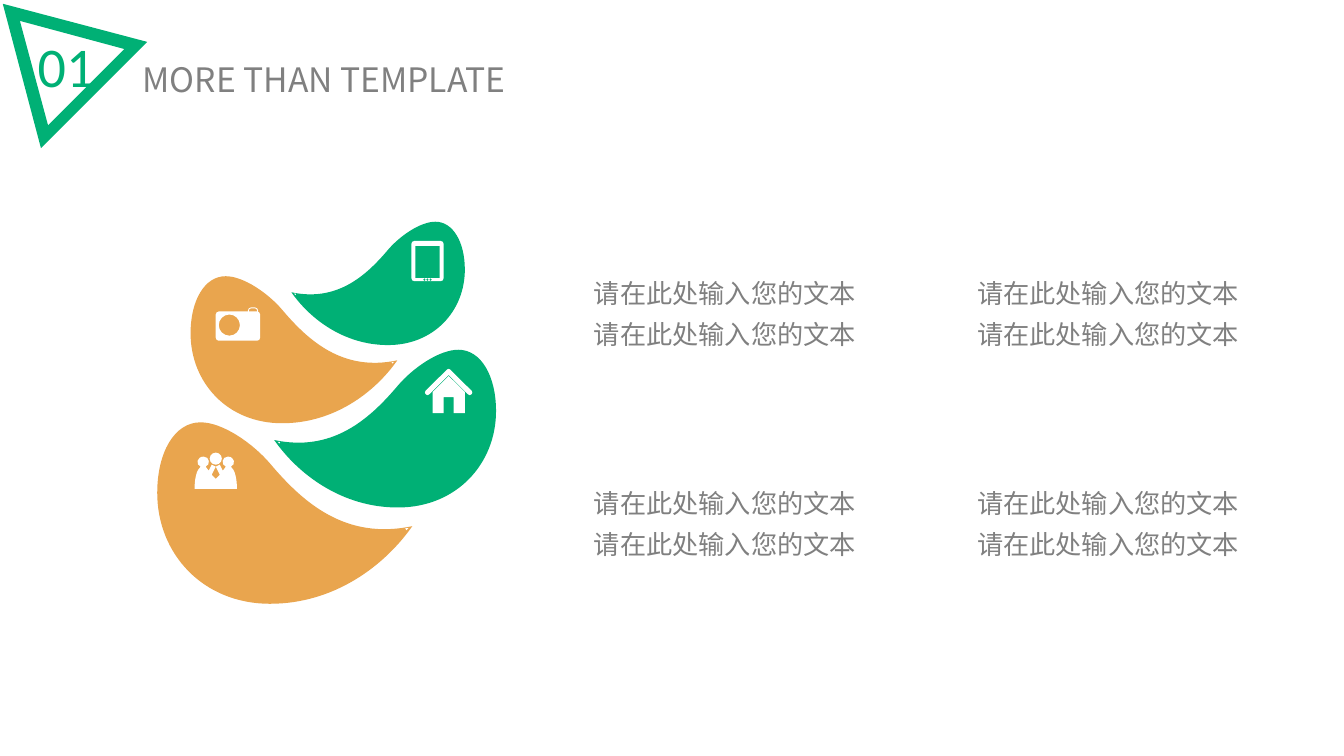
from lxml.etree import SubElement
from pptx import Presentation
from pptx.dml.color import RGBColor
from pptx.enum.shapes import MSO_SHAPE
from pptx.enum.text import MSO_ANCHOR, MSO_AUTO_SIZE as AutoSize, PP_ALIGN
from pptx.oxml.ns import qn
from pptx.util import Inches, Pt

COLORS = {"green": "00B075", "orange": "E9A54E", "gray": "808080", "white": "FFFFFF"}
CJK_FONT = "Noto Sans CJK SC"
PROMPT = "请在此处输入您的文本"
PETAL_WIDTH = 2.53
PETALS = [
    (1.56, 4.19, 2.53, False, "orange"),
    (2.72, 3.47, 2.2, True, "green"),
    (1.89, 2.74, 2.05, False, "orange"),
    (2.89, 2.2, 1.72, True, "green"),
]


def pairs(segment):
    return list(zip(segment[::2], segment[1::2]))


def transform(contour, left, top, x_scale=1, y_scale=1):
    return [
        tuple(value for x, y in pairs(segment) for value in (left + x * x_scale, top + y * y_scale))
        for segment in contour
    ]


def symmetric(half, axis, top):
    mirrored = transform(half, 0, 0, x_scale=-1)
    way_back = []
    for previous, segment in reversed(list(zip(mirrored, mirrored[1:]))):
        controls = pairs(segment)[:-1][::-1]
        way_back.append(sum(controls, ()) + previous[-2:])
    return transform(half + way_back, axis, top)


def rounded(left, top, width, height, radius=0):
    side, pull = width / 2, radius * 0.45
    half = [
        (0, 0), (side - radius, 0),
        (side - pull, 0, side, pull, side, radius),
        (side, height - radius),
        (side, height - pull, side - pull, height, side - radius, height),
        (0, height),
    ]
    return symmetric(half, left + side, top)


def triangle(axis, top, width, height):
    return symmetric([(0, 0), (width / 2, height), (0, height)], axis, top)


def petal_outline():
    tip, bottom, side, top, bend = (2.53, 1.03), (1.12, 1.8), (0, 0.7), (0.43, 0), (1.12, 0.41)
    return [
        tip,
        (2.25, 1.43, 1.75, 1.8, *bottom),
        (0.45, 1.8, 0, 1.3, *side),
        (0, 0.3, 0.17, 0, *top),
        (0.65, 0, 0.95, 0.21, *bend),
        (1.45, 0.8, 1.87, 1.17, *tip),
    ]


def paint(shape, color):
    shape.shadow.inherit = False
    shape.fill.solid()
    shape.fill.fore_color.rgb = RGBColor.from_string(COLORS[color])
    shape.line.fill.background()


def add_outline(page, color, *contours):
    def points_of(segment):
        return [(Inches(x), Inches(y)) for x, y in pairs(segment)]

    builder = page.shapes.build_freeform(*points_of(contours[0][0])[0])
    for index, (start, *segments) in enumerate(contours):
        if index:
            builder.move_to(*points_of(start)[0])
        builder.add_line_segments(sum(map(points_of, segments), []), close=True)
    shape = builder.convert_to_shape()
    steps = iter(list(shape.element.iter(qn("a:lnTo"))))
    for contour in contours:
        for segment in contour[1:]:
            step = next(steps)
            if len(segment) == 6:
                step.tag = qn("a:cubicBezTo")
                for extra in (next(steps), next(steps)):
                    step.append(extra[0])
                    extra.getparent().remove(extra)
    paint(shape, color)
    return shape


def add_petal(page, left, top, width, mirrored, color):
    scale = width / PETAL_WIDTH
    origin, x_scale = (left + width, -scale) if mirrored else (left, scale)
    speck = [(2.47, 1.07), (2.46, 1.05), (2.49, 1.05)]
    for contour, fill in ((petal_outline(), color), (speck, "white")):
        add_outline(page, fill, transform(contour, origin, top, x_scale, scale))


def add_people(page, axis, top):
    tie_bottom, tie_side, tie_top, collar = (0, 0.26), (0.04, 0.22), (0, 0.14), (0.04, 0.12)
    shoulder, inner_neck, crown, outer_neck = (0.07, 0.18), (0.1, 0.14), (0.12, 0.04), (0.15, 0.14)
    foot, base = (0.21, 0.36), (0, 0.36)
    half = [
        tie_bottom, tie_side, tie_top, collar, shoulder, inner_neck,
        (0.05, 0.12, 0.06, 0.04, *crown),
        (0.19, 0.04, 0.2, 0.12, *outer_neck),
        (0.19, 0.17, 0.21, 0.26, *foot),
        base,
    ]
    add_outline(page, "white", symmetric(half, axis, top))
    head_size = 0.12
    head = page.shapes.add_shape(
        MSO_SHAPE.OVAL, Inches(axis - head_size / 2), Inches(top), Inches(head_size), Inches(head_size))
    paint(head, "white")


def add_house(page, axis, top):
    eave, floor, door_side, door_top = 0.16, 0.37, 0.05, 0.21
    wall_half = [(0, 0), (eave, eave), (eave, floor), (door_side, floor), (door_side, door_top), (0, door_top)]
    roof_half = [(0, 0), (0.01, 0, 0.02, 0.01, 0.02, 0.01), (0.23, 0.22),
                 (0.25, 0.24, 0.21, 0.28, 0.19, 0.25), (0, 0.06)]
    add_outline(page, "white", symmetric(wall_half, axis, top + 0.07))
    add_outline(page, "white", symmetric(roof_half, axis, top))


def add_camera(page, left, top):
    button_rim = rounded(left + 0.32, top, 0.1, 0.1, 0.03)
    button_hole = rounded(left + 0.33, top + 0.01, 0.08, 0.09, 0.02)
    body = rounded(left, top + 0.04, 0.44, 0.29, 0.03)
    lens_size = 0.21
    lens = rounded(left + 0.03, top + 0.07, lens_size, lens_size, lens_size / 2)
    add_outline(page, "white", button_rim, button_hole)
    add_outline(page, "white", body, lens)


def add_tablet(page, left, top):
    body = rounded(left, top, 0.32, 0.4, 0.03)
    screen = rounded(left + 0.04, top + 0.05, 0.24, 0.32)
    buttons = [rounded(left + 0.12 + 0.03 * index, top + 0.37, 0.02, 0.03, 0.01) for index in range(3)]
    add_outline(page, "white", body, screen, *buttons)


def add_text(page, place, text, size, font, color, anchor=MSO_ANCHOR.MIDDLE, wrap=True, spacing=None):
    box = page.shapes.add_textbox(*map(Inches, place))
    frame = box.text_frame
    frame.word_wrap = wrap
    frame.auto_size = AutoSize.SHAPE_TO_FIT_TEXT
    frame.vertical_anchor = anchor
    frame.text = text
    for para in frame.paragraphs:
        para.alignment = PP_ALIGN.CENTER
        para.line_spacing = spacing
        for span in para.runs:
            span.font.size = Pt(size)
            span.font.color.rgb = RGBColor.from_string(COLORS[color])
            span.font.name = font
            SubElement(span._r.get_or_add_rPr(), qn("a:ea"), typeface=font)


def add_header(page):
    add_text(page, (0.27, 0.26, 0.77, 0.77), "01", 40, "Calibri", "green", wrap=False)
    badge = add_outline(page, "green", triangle(0.48, -0.15, 1.49, 1.28), triangle(0.48, 0.09, 1.07, 0.93))
    badge.rotation = 315
    add_text(page, (0.81, 0.53, 4.81, 0.51), "MORE THAN TEMPLATE", 24, CJK_FONT, "gray")


def add_prompts(page):
    for row in range(2):
        for column in range(2):
            place = (5.73 + 3.8 * column, 2.61 + 2.08 * row, 2.92, 0.92)
            add_text(page, place, f"{PROMPT}\n{PROMPT}", 18.7, CJK_FONT, "gray",
                     anchor=MSO_ANCHOR.TOP, spacing=1.3)


def main():
    deck = Presentation()
    deck.slide_width, deck.slide_height = Inches(13.33), Inches(7.5)
    page = deck.slides.add_slide(deck.slide_layouts[6])
    add_header(page)
    for petal in PETALS:
        add_petal(page, *petal)
    add_people(page, axis=2.14, top=4.49)
    add_house(page, axis=4.45, top=3.66)
    add_camera(page, left=2.14, top=3.05)
    add_tablet(page, left=4.08, top=2.39)
    add_prompts(page)
    deck.save("out.pptx")


if __name__ == "__main__":
    main()
